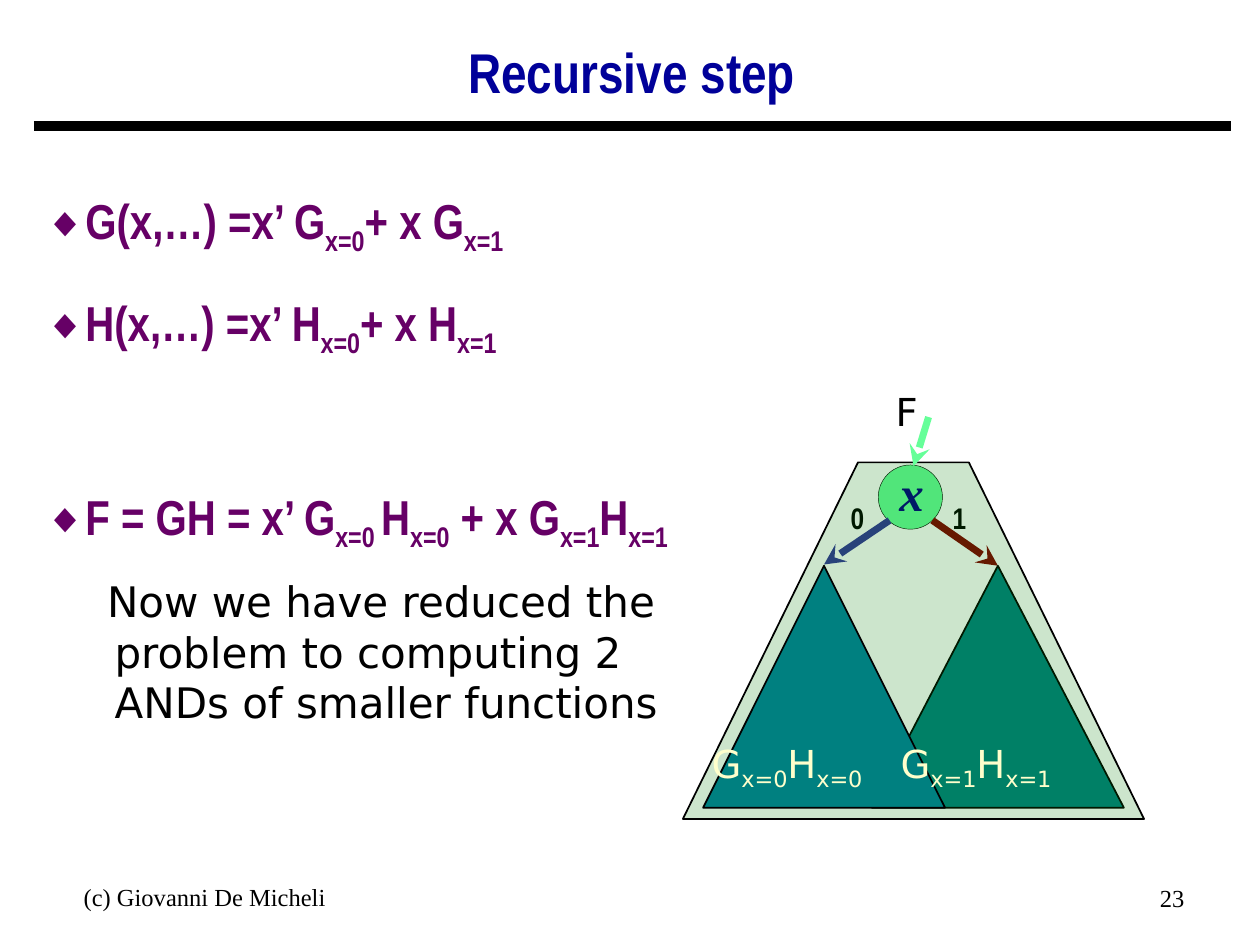
from pptx import Presentation
from pptx.dml.color import RGBColor
from pptx.enum import shapes, text
from pptx.oxml.ns import qn
from pptx.util import Inches, Pt
from lxml import etree

# Content: formulas are (text, is_subscript) runs
TITLE = "Recursive step"
FORMULAS = [
    (0, [("G(x,…) =x’ G", 0), ("x=0", 1), ("+ x G", 0), ("x=1", 1)]),
    (10.5, [("H(x,…) =x’ H", 0), ("x=0", 1), ("+ x H", 0), ("x=1", 1)]),
    (63, [("F = GH = x’ G", 0), ("x=0 ", 1), ("H", 0), ("x=0", 1),
          (" + x G", 0), ("x=1", 1), ("H", 0), ("x=1", 1)]),
]
CONCLUSION = "Now we have reduced the problem to computing 2 ANDs of smaller functions"
FOOTER, PAGE = "(c) Giovanni De Micheli", "23"
BRANCHES = {
    "low": [("G", 0), ("x=0", 1), ("H", 0), ("x=0", 1)],
    "high": [("G", 0), ("x=1", 1), ("H", 0), ("x=1", 1)],
}
NARROW, SANS, SERIF = "Arial Narrow", "DejaVu Sans", "Times New Roman"
BLACK, PURPLE, TEAL, MINT = "000000", "660066", "008080", "66FF99"
LEFT, CENTER, RIGHT = text.PP_ALIGN.LEFT, text.PP_ALIGN.CENTER, text.PP_ALIGN.RIGHT
TOP, MIDDLE = text.MSO_ANCHOR.TOP, text.MSO_ANCHOR.MIDDLE


def color(hex_value):
    return RGBColor.from_string(hex_value)


def place(shape, box):
    shape.left, shape.top, shape.width, shape.height = map(Inches, box)


def set_frame(frame, insets=(0.1, 0.05, 0.1, 0.05), wrap=True, anchor=TOP):
    frame.margin_left, frame.margin_top, frame.margin_right, frame.margin_bottom = map(Inches, insets)
    frame.auto_size = text.MSO_AUTO_SIZE.NONE
    frame.word_wrap = wrap
    frame.vertical_anchor = anchor


def indent(paragraph, left, first):
    props = paragraph._p.get_or_add_pPr()
    props.set("marL", str(Inches(left)))
    props.set("indent", str(Inches(first)))
    return props


def add_runs(paragraph, runs, font, size, hex_value, bold=False, italic=False):
    for words, subscript in runs:
        run = paragraph.add_run()
        run.text = words
        run.font.name, run.font.size = font, Pt(size)
        run.font.bold, run.font.italic = bold, italic
        run.font.color.rgb = color(hex_value)
        if subscript:
            run.font._element.set("baseline", "-25000")


def add_label(box, runs, font, size, hex_value=BLACK, align=LEFT, bold=False,
              italic=False, **frame_options):
    label = slide.shapes.add_textbox(*map(Inches, box))
    set_frame(label.text_frame, **frame_options)
    paragraph = label.text_frame.paragraphs[0]
    paragraph.alignment = align
    add_runs(paragraph, runs, font, size, hex_value, bold, italic)
    return paragraph


def style(shape, fill, width=1, alpha=None):
    shape.shadow.inherit = False
    shape.fill.solid()
    shape.fill.fore_color.rgb = color(fill)
    if alpha:
        solid = shape._element.spPr.find(qn("a:solidFill"))
        etree.SubElement(solid[0], qn("a:alpha"), val=str(alpha * 1000))
    shape.line.color.rgb = color(BLACK)
    shape.line.width = Pt(width)


def add_preset(preset, box, fill, width=1):
    style(slide.shapes.add_shape(preset, *map(Inches, box)), fill, width)


def add_line(start, end, hex_value, width, arrow=False):
    line = slide.shapes.add_connector(shapes.MSO_CONNECTOR.STRAIGHT, *map(Inches, start + end))
    line.line.color.rgb = color(hex_value)
    line.line.width = Pt(width)
    props = line._element.spPr
    if arrow:
        etree.SubElement(props.find(qn("a:ln")), qn("a:tailEnd"), type="stealth")
    etree.SubElement(props, qn("a:effectLst"))


deck = Presentation()
deck.slide_width, deck.slide_height = Inches(10), Inches(7.5)
slide = deck.slides.add_slide(deck.slide_layouts[1])
title, body = slide.placeholders

# Title and rule
add_line((0.27, 1), (9.77, 1), BLACK, 6)
place(title, (0.26, 0.22, 9.51, 0.75))
set_frame(title.text_frame, anchor=MIDDLE)
heading = title.text_frame.paragraphs[0]
heading.alignment, heading.line_spacing = CENTER, 0.9
add_runs(heading, [(TITLE, 0)], NARROW, 32, "000099", True)

# Formula list
place(body, (0.25, 1.18, 9.51, 5.69))
set_frame(body.text_frame, insets=(0.1, 0.2, 0.1, 0.05))
for number, (gap, runs) in enumerate(FORMULAS):
    formula = body.text_frame.add_paragraph() if number else body.text_frame.paragraphs[0]
    formula.line_spacing, formula.space_before = 1.25, Pt(gap)
    props = indent(formula, 0.31, -0.31)
    bullet_color = etree.SubElement(props, qn("a:buClr"))
    etree.SubElement(bullet_color, qn("a:srgbClr"), val=PURPLE)
    etree.SubElement(props, qn("a:buSzPct"), val="85000")
    etree.SubElement(props, qn("a:buChar"), char="◆")
    add_runs(formula, runs, NARROW, 28, PURPLE, True)

# Decision node x with its two branches
no_inset = dict(insets=(0, 0, 0, 0), wrap=False)
add_preset(shapes.MSO_SHAPE.OVAL, (6.97, 3.69, 0.51, 0.51), MINT, 0.25)
add_label((7.14, 3.67, 0.19, 0.47), [("x", 0)], SERIF, 28, "000080", CENTER,
          True, True, anchor=MIDDLE, **no_inset)
add_line((7.4, 4.13), (7.92, 4.49), "800000", 4, arrow=True)
add_line((7.06, 4.13), (6.54, 4.48), "333399", 4, arrow=True)
for left, value in ((6.75, "0"), (7.56, "1")):
    add_label((left, 3.97, 0.11, 0.28), [(value, 0)], NARROW, 17, align=CENTER,
              bold=True, **no_inset)

# Subgraphs inside the translucent graph of F
add_preset(shapes.MSO_SHAPE.ISOSCELES_TRIANGLE, (6.92, 4.49, 2, 1.92), TEAL)
corners = [tuple(map(Inches, xy)) for xy in ((5.42, 6.5), (9.08, 6.5), (7.69, 3.67), (6.81, 3.67))]
outline = slide.shapes.build_freeform(*corners[0])
outline.add_line_segments(corners[1:], close=True)
style(outline.convert_to_shape(), "008000", alpha=20)
add_line((7.37, 3.31), (7.25, 3.7), MINT, 4, arrow=True)
add_label((7.01, 3.03, 1.17, 0.47), [("F", 0)], SANS, 22)
add_preset(shapes.MSO_SHAPE.ISOSCELES_TRIANGLE, (5.58, 4.49, 1.92, 1.92), TEAL)
for left, branch in ((5.55, "low"), (7.05, "high")):
    add_label((left, 5.82, 2.05, 0.52), BRANCHES[branch], SANS, 22, "FFFFCC")

# Conclusion and footer
conclusion = add_label((-0.47, 4.52, 5.93, 1.3), [(CONCLUSION, 0)], SANS, 24,
                       insets=(0, 0.05, 0.1, 0.05))
indent(conclusion, 1.38, -0.06)
for box, words, align in (((-0.08, 6.95, 3.17, 0.52), FOOTER, CENTER),
                          ((7.17, 6.96, 2.33, 0.52), PAGE, RIGHT)):
    indent(add_label(box, [(words, 0)], SERIF, 14, align=align), 0.24, 0)

deck.save("out.pptx")
